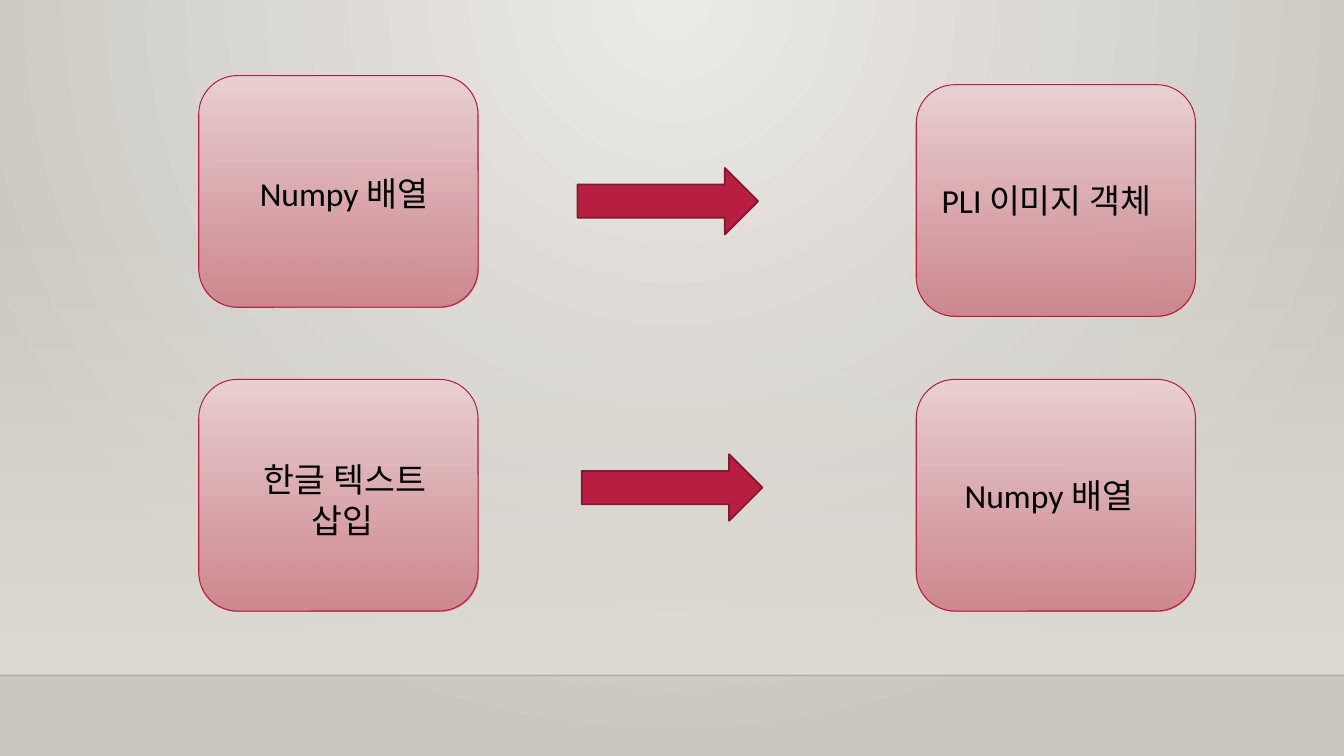
from lxml import etree
from pptx import Presentation
from pptx.dml.color import RGBColor
from pptx.enum.shapes import MSO_CONNECTOR, MSO_SHAPE
from pptx.enum.text import MSO_AUTO_SIZE
from pptx.oxml.ns import qn
from pptx.util import Pt

STRAIGHT = MSO_CONNECTOR.STRAIGHT
RECTANGLE = MSO_SHAPE.RECTANGLE
ROUNDED = MSO_SHAPE.ROUNDED_RECTANGLE
RIGHT_ARROW = MSO_SHAPE.RIGHT_ARROW
FIT_SHAPE = MSO_AUTO_SIZE.SHAPE_TO_FIT_TEXT

BLACK = RGBColor(0x00, 0x00, 0x00)
HORIZON = RGBColor(0x00, 0x00, 0x01)
CRIMSON = RGBColor(0xB7, 0x1E, 0x42)
DARK_CRIMSON = RGBColor(0x87, 0x16, 0x31)
PALE_PINK = RGBColor(0xEA, 0xD1, 0xD3)
ROSE = RGBColor(0xCD, 0x82, 0x8A)
LIGHT_GREY = RGBColor(0xEC, 0xEA, 0xE7)
GREY = RGBColor(0xCA, 0xC7, 0xC1)
SAND = RGBColor(0xDF, 0xDB, 0xD5)

SLIDE_WIDTH, SLIDE_HEIGHT = 960, 540
CARD_WIDTH, CARD_HEIGHT = 199.5, 165.5
ARROW_WIDTH, ARROW_HEIGHT = 129, 47.5


def set_alpha(color_element, percent):
    etree.SubElement(color_element, qn("a:alpha")).set("val", str(percent * 1000))


class FlowSlide:
    """Holds the text style and the slide being drawn."""

    def __init__(self, slide, font="Calibri", size=24):
        self.slide = slide
        self.font = font
        self.size = size

    def gradient(self, fill, holder, colors, alphas=(100, 100)):
        fill.gradient()
        gradient = holder.find(".//" + qn("a:gradFill"))
        for position, stop, color, alpha in zip((0, 1), fill.gradient_stops, colors, alphas):
            stop.position = position
            stop.color.rgb = color
        for element, alpha in zip(gradient.iter(qn("a:srgbClr")), alphas):
            if alpha < 100:
                set_alpha(element, alpha)
        return gradient

    def background(self, inner, outer):
        gradient = self.gradient(self.slide.background.fill, self.slide.element, (inner, outer))
        gradient.remove(gradient.find(qn("a:lin")))
        circle = etree.SubElement(gradient, qn("a:path"), {"path": "circle"})
        focus = {"l": "43000", "t": "0", "r": "43000", "b": "100000"}
        etree.SubElement(circle, qn("a:fillToRect"), focus)

    def shape(self, kind, left, top, width, height, line=None, weight=1):
        shape = self.slide.shapes.add_shape(kind, Pt(left), Pt(top), Pt(width), Pt(height))
        shape.shadow.inherit = False
        if line is None:
            shape.line.fill.background()
        else:
            shape.line.color.rgb = line
            shape.line.width = Pt(weight)
        return shape

    def shaded(self, shape, colors, alphas):
        self.gradient(shape.fill, shape.element.spPr, colors, alphas)
        shape.fill.gradient_angle = 270

    def wall(self, top, height):
        wall = self.shape(RECTANGLE, 0, top, SLIDE_WIDTH, height)
        self.shaded(wall, (SAND, SAND), (0, 100))

    def horizon(self, top):
        horizon = self.slide.shapes.add_connector(STRAIGHT, 0, Pt(top), Pt(SLIDE_WIDTH), Pt(top))
        horizon.line.color.rgb = HORIZON
        horizon.line.width = Pt(1)
        properties = horizon.element.spPr
        set_alpha(properties.find(".//" + qn("a:srgbClr")), 20)
        etree.SubElement(properties, qn("a:effectLst"))

    def card(self, left, top):
        card = self.shape(ROUNDED, left, top, CARD_WIDTH, CARD_HEIGHT, CRIMSON, 0.75)
        self.shaded(card, (PALE_PINK, ROSE), (100, 92))

    def arrow(self, left, top):
        arrow = self.shape(RIGHT_ARROW, left, top, ARROW_WIDTH, ARROW_HEIGHT, DARK_CRIMSON, 1.25)
        arrow.fill.solid()
        arrow.fill.fore_color.rgb = CRIMSON

    def label(self, text, left, top, width, height, second_indent=0):
        box = self.slide.shapes.add_textbox(Pt(left), Pt(top), Pt(width), Pt(height))
        frame = box.text_frame
        frame.word_wrap = True
        frame.auto_size = FIT_SHAPE
        frame.text = text
        for paragraph in frame.paragraphs:
            for run in paragraph.runs:
                run.font.name = self.font
                run.font.size = Pt(self.size)
                run.font.color.rgb = BLACK
        for paragraph in frame.paragraphs[1:]:
            paragraph._p.get_or_add_pPr().set("marL", str(Pt(second_indent)))


def main():
    presentation = Presentation()
    presentation.slide_width = Pt(SLIDE_WIDTH)
    presentation.slide_height = Pt(SLIDE_HEIGHT)
    flow = FlowSlide(presentation.slides.add_slide(presentation.slide_layouts[6]))

    # Backdrop
    flow.background(LIGHT_GREY, GREY)
    flow.wall(159, 323.4)
    flow.horizon(482.4)

    # Cards and arrows
    for left, top in ((142, 54), (654.5, 60.5), (142, 271), (654.5, 271)):
        flow.card(left, top)
    for left, top in ((412.5, 120), (415.5, 324.5)):
        flow.arrow(left, top)

    # Labels
    flow.label("Numpy 배열", 178.5, 120, 155.5, 36)
    flow.label("PLI 이미지 객체", 665.5, 125, 188, 36)
    flow.label("한글 텍스트\n삽입", 181.5, 324.5, 155.5, 65.5, second_indent=34)
    flow.label("Numpy 배열", 682, 335.5, 155.5, 36)

    presentation.save("out.pptx")


if __name__ == "__main__":
    main()
